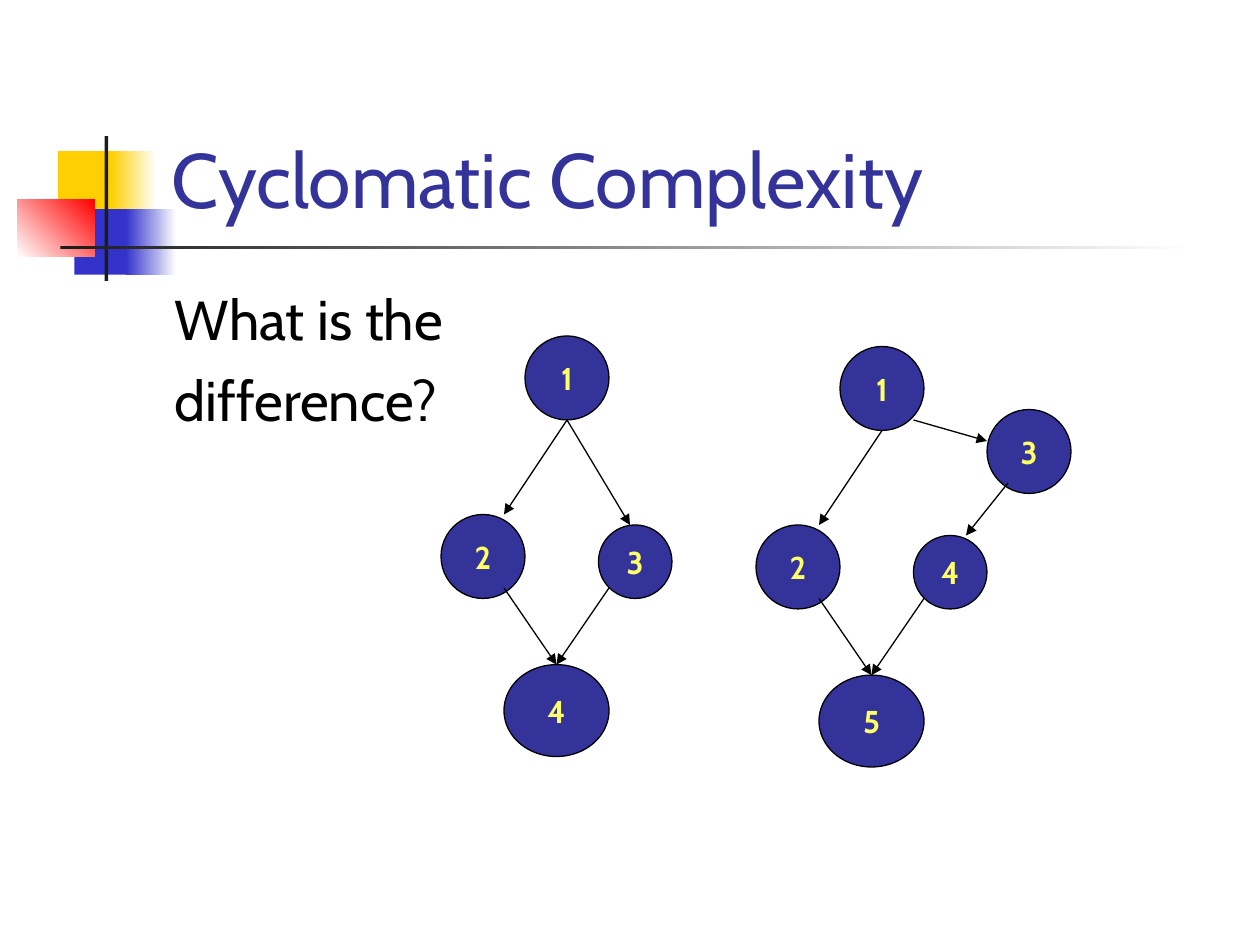
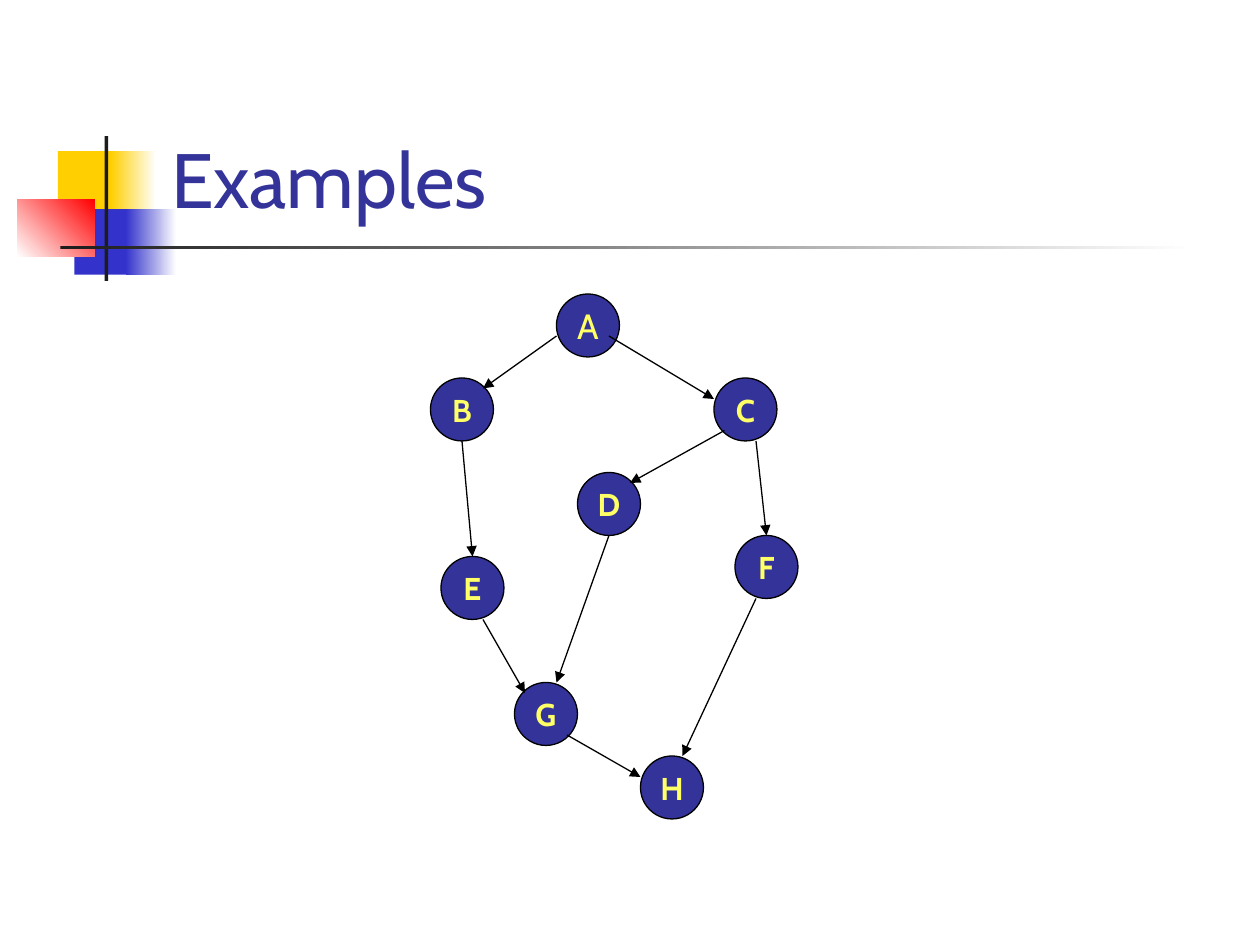
from lxml import etree
from pptx import Presentation
from pptx.dml.color import RGBColor
from pptx.enum.shapes import MSO_CONNECTOR, MSO_SHAPE
from pptx.enum.text import MSO_ANCHOR, PP_ALIGN
from pptx.oxml.ns import qn
from pptx.util import Inches, Pt

RECTANGLE, OVAL = MSO_SHAPE.RECTANGLE, MSO_SHAPE.OVAL
STRAIGHT = MSO_CONNECTOR.STRAIGHT
TOP, MIDDLE, BOTTOM = MSO_ANCHOR.TOP, MSO_ANCHOR.MIDDLE, MSO_ANCHOR.BOTTOM
LEFT, CENTER = PP_ALIGN.LEFT, PP_ALIGN.CENTER

COLUMNS, ROWS = 120, 90
FONT = "Cabin"
WHITE, BLACK, CHARCOAL = "FFFFFF", "000000", "1C1C1C"
YELLOW, BLUE, RED = "FFCF01", "3333CC", "FF0000"
NAVY, LABEL = "333399", "FFFF66"

# Emblem and rule: column, row, width, height, colours, gradient angle
BAND = [
    (5.52, 14.4, 5.76, 6.24, [YELLOW], 0),
    (10.56, 14.4, 4.32, 6.24, [YELLOW, WHITE], 0),
    (7.08, 19.92, 5.52, 6.24, [BLUE], 0),
    (12, 19.92, 4.8, 6.24, [BLUE, WHITE], 0),
    (1.68, 18.96, 7.32, 5.52, [WHITE, RED], 45),
    (9.96, 12.96, 0.36, 13.8, [CHARCOAL], 0),
    (5.76, 23.4, 108, 0.36, [CHARCOAL, WHITE], 0),
]


def color(value):
    return RGBColor.from_string(value)


def write_text(text_frame, *lines, size=18, text_color=BLACK, bold=False,
               align=LEFT, anchor=TOP, wrap=True, space_before=0):
    """Write one paragraph per line, spaced from the second on."""
    text_frame.word_wrap = wrap
    text_frame.vertical_anchor = anchor
    for index, line in enumerate(lines):
        paragraph = text_frame.add_paragraph() if index else text_frame.paragraphs[0]
        paragraph.alignment = align
        paragraph.space_before = Pt(space_before if index else 0)
        run = paragraph.add_run()
        run.text = line
        run.font.name = FONT
        run.font.size = Pt(size)
        run.font.bold = bold
        run.font.color.rgb = color(text_color)


class Deck:
    def __init__(self):
        self.presentation = Presentation()
        self.presentation.slide_width = Inches(10)
        self.presentation.slide_height = Inches(7.5)
        self.cell_width = self.presentation.slide_width / COLUMNS
        self.cell_height = self.presentation.slide_height / ROWS
        self.slide = None

    def place(self, *lengths):
        """Turn alternating columns and rows into slide lengths."""
        cells = (self.cell_width, self.cell_height)
        return [round(length * cells[index % 2]) for index, length in enumerate(lengths)]

    def add_slide(self, title):
        self.slide = self.presentation.slides.add_slide(self.presentation.slide_layouts[6])
        for column, row, width, height, colors, angle in BAND:
            self.block(column, row, width, height, colors, angle)
        self.text(15.12, 2.76, 102.24, 19.2, title, size=44, text_color=NAVY, anchor=BOTTOM)

    def shape(self, kind, *box):
        shape = self.slide.shapes.add_shape(kind, *self.place(*box))
        shape.shadow.inherit = False
        return shape

    def block(self, column, row, width, height, colors, angle):
        """Draw a borderless rectangle, plain or with a two-colour gradient."""
        shape = self.shape(RECTANGLE, column, row, width, height)
        shape.line.fill.background()
        if len(colors) == 1:
            shape.fill.solid()
            shape.fill.fore_color.rgb = color(colors[0])
            return
        shape.fill.gradient()
        shape.fill.gradient_angle = angle
        for position, (stop, value) in enumerate(zip(shape.fill.gradient_stops, colors)):
            stop.position = position
            stop.color.rgb = color(value)

    def text(self, column, row, width, height, *lines, **style):
        box = self.slide.shapes.add_textbox(*self.place(column, row, width, height))
        write_text(box.text_frame, *lines, **style)

    def node(self, label, column, row, width=6, height=None, size=18, bold=True):
        shape = self.shape(OVAL, column, row, width, height or width)
        shape.fill.solid()
        shape.fill.fore_color.rgb = color(NAVY)
        shape.line.color.rgb = color(BLACK)
        shape.line.width = Pt(0.75)
        write_text(shape.text_frame, label, size=size, text_color=LABEL, bold=bold,
                   align=CENTER, anchor=MIDDLE, wrap=False)

    def arrow(self, *ends):
        connector = self.slide.shapes.add_connector(STRAIGHT, *self.place(*ends))
        connector.line.color.rgb = color(BLACK)
        connector.line.width = Pt(0.75)
        properties = connector._element.spPr
        etree.SubElement(properties.find(qn("a:ln")), qn("a:tailEnd"), type="triangle")
        etree.SubElement(properties, qn("a:effectLst"))

    def branch_graph(self, column, row, labels):
        """Draw the start, left, right and end nodes and the arrows both graphs share."""
        start, left, right, end = labels
        self.node(start, column + 8, row, 8)
        self.node(left, column, row + 17, 8)
        self.node(right, column + 15, row + 18, 7)
        self.node(end, column + 6, row + 31.3, 10, 8.75)
        self.arrow(column + 12, row + 8, column + 6, row + 17)
        for side in (6, 16):
            self.arrow(column + side, row + 24, column + 11, row + 31.3)


def build_complexity_slide(deck):
    deck.add_slide("Cyclomatic Complexity")
    deck.text(15.48, 26.52, 102, 54, "What is the", "difference?", size=32, space_before=8)

    deck.branch_graph(42, 32, "1234")
    deck.arrow(54, 40, 60, 50)

    deck.branch_graph(72, 33, "1245")
    deck.node("3", 94, 39, 8)
    deck.arrow(87, 40, 94, 42)
    deck.arrow(96, 46, 92, 51)


def build_examples_slide(deck):
    deck.add_slide("Examples")
    deck.node("A", 53, 28, size=20, bold=False)
    nodes = {"B": (41, 36), "C": (68, 36), "D": (55, 45), "E": (42, 53),
             "F": (70, 51), "G": (49, 65), "H": (61, 72)}
    for label, position in nodes.items():
        deck.node(label, *position)
    arrows = [
        (53, 32, 46, 37), (58, 32, 68, 38), (44, 42, 45, 53),
        (69, 41, 60, 46), (72, 42, 73, 51), (58, 51, 53, 65),
        (46, 59, 50, 66), (54, 70, 61, 74), (72, 57, 65, 72),
    ]
    for ends in arrows:
        deck.arrow(*ends)


def main():
    deck = Deck()
    build_complexity_slide(deck)
    build_examples_slide(deck)
    deck.presentation.save("out.pptx")


if __name__ == "__main__":
    main()
